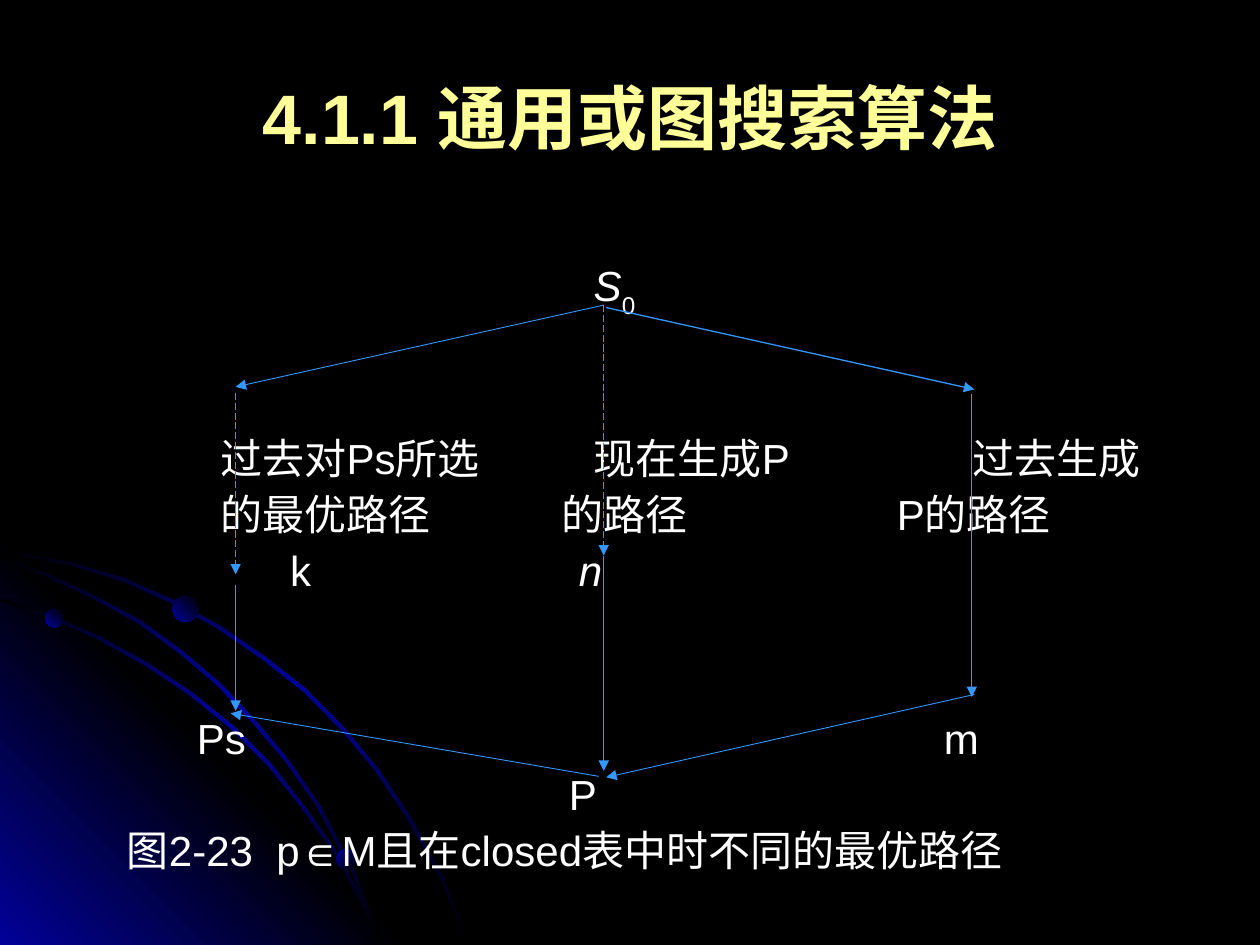
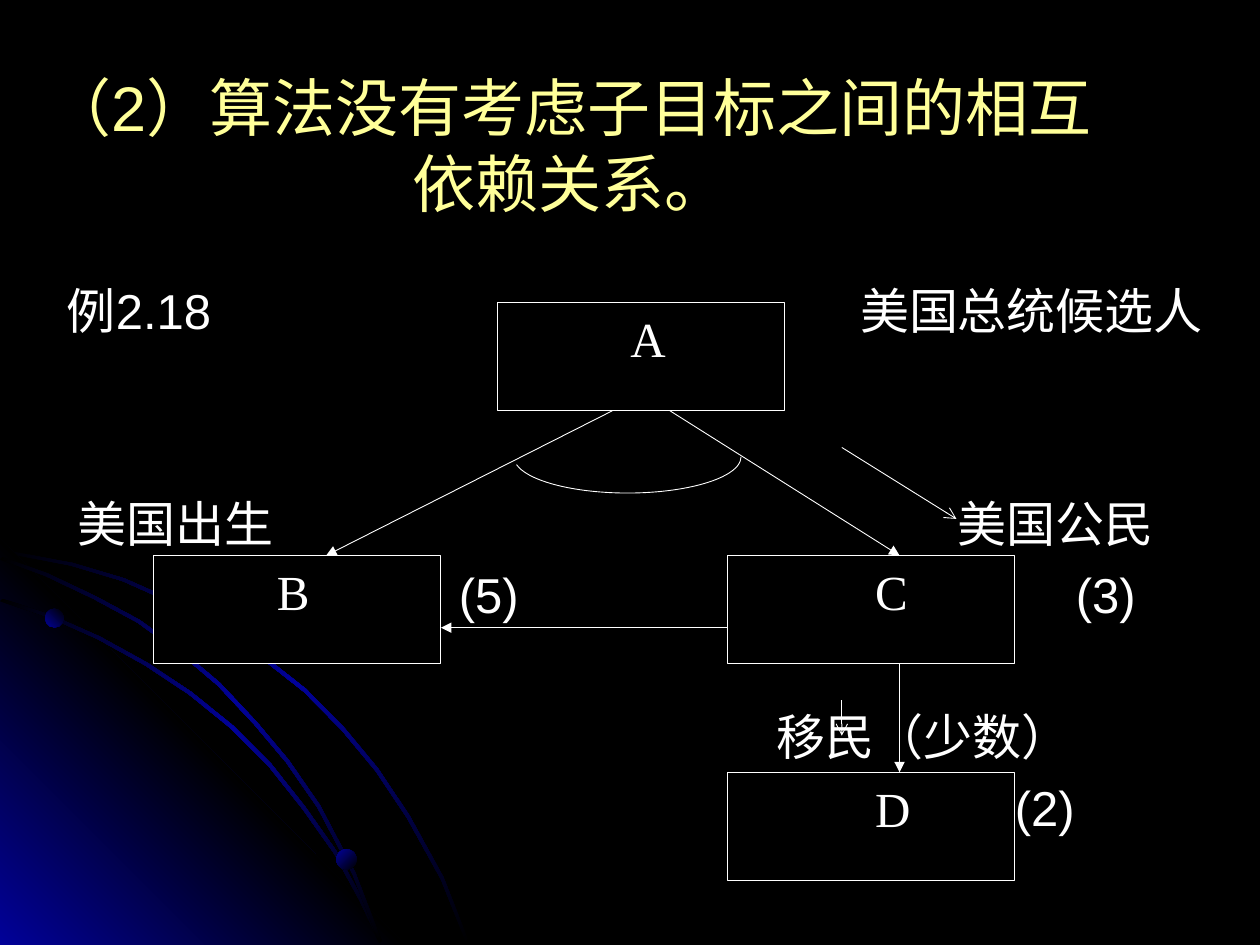
from lxml import etree
from pptx import Presentation
from pptx.dml.color import RGBColor
from pptx.enum.dml import MSO_LINE
from pptx.enum.shapes import MSO_CONNECTOR, MSO_SHAPE
from pptx.enum.text import MSO_ANCHOR, PP_ALIGN
from pptx.oxml.ns import qn
from pptx.util import Cm, Pt

STRAIGHT = MSO_CONNECTOR.STRAIGHT
RECTANGLE, OVAL, ARC = MSO_SHAPE.RECTANGLE, MSO_SHAPE.OVAL, MSO_SHAPE.ARC
TOP, MIDDLE = MSO_ANCHOR.TOP, MSO_ANCHOR.MIDDLE
LEFT, CENTER = PP_ALIGN.LEFT, PP_ALIGN.CENTER
LONG_DASH = MSO_LINE.LONG_DASH

COLORS = {
    "background": "000000",
    "glow": "010199",
    "title": "FFFF99",
    "text": "FFFFFF",
    "path": "3399FF",
}
SANS, SERIF = "Arial", "Times New Roman"
SLIDE_W, SLIDE_H = 25.4, 19.05
NODE_W, NODE_H = 5.79, 2.18
BAND_THICKNESS = 0.05

# Lower edges of the three orbit bands, in cm
OUTER_ORBIT = [(0, 11.13), (1.42, 11.4), (2.46, 11.71), (3.43, 12.14),
               (4.39, 12.67), (5.28, 13.28), (6.12, 13.94), (6.88, 14.71),
               (7.57, 15.54), (8.2, 16.48), (8.89, 17.73), (9.4, 19.02)]
INNER_ORBIT = [(0, 12.12), (0.99, 12.45), (1.96, 12.88), (2.92, 13.41),
               (3.81, 14), (4.65, 14.68), (5.41, 15.44), (6.1, 16.31),
               (6.73, 17.2), (7.24, 18.14), (7.65, 19.02)]
MIDDLE_ORBIT = [(0, 11.28), (0.91, 11.61), (1.88, 12.07), (2.77, 12.55),
                (3.61, 13.16), (4.39, 13.82), (5.13, 14.61), (5.77, 15.37),
                (6.4, 16.28), (7.11, 17.63), (7.65, 19.02)]


def rgb(name):
    return RGBColor.from_string(COLORS[name])


def fill_gradient(shape, names, angle):
    """Spread the named colours evenly, at a clockwise angle, without outline."""
    shape.shadow.inherit = False
    shape.line.fill.background()
    shape.fill.gradient()
    shape.fill.gradient_angle = 360 - angle
    stops = shape._element.spPr.find(qn("a:gradFill")).find(qn("a:gsLst"))
    for stop in list(stops):
        stops.remove(stop)
    for i, name in enumerate(names):
        position = str(100000 * i // (len(names) - 1))
        stop = etree.SubElement(stops, qn("a:gs"), pos=position)
        etree.SubElement(stop, qn("a:srgbClr"), val=COLORS[name])


def add_polygon(slide, points, names, angle):
    corners = [(Cm(x), Cm(y)) for x, y in points]
    builder = slide.shapes.build_freeform(*corners[0])
    builder.add_line_segments(corners[1:], close=True)
    fill_gradient(builder.convert_to_shape(), names, angle)


def add_orbit(slide, edge):
    upper = [(x + BAND_THICKNESS, y - BAND_THICKNESS) for x, y in edge]
    add_polygon(slide, edge + upper[::-1],
                ["background", "glow", "background"], 225)


def add_planet(slide, x, y, diameter, angle):
    planet = slide.shapes.add_shape(OVAL, Cm(x), Cm(y), Cm(diameter), Cm(diameter))
    fill_gradient(planet, ["background", "glow"], angle)


def add_space_slide(prs):
    """Add a black slide with the blue corner, its orbits and two planets."""
    slide = prs.slides.add_slide(prs.slide_layouts[6])
    slide.background.fill.solid()
    slide.background.fill.fore_color.rgb = rgb("background")
    add_orbit(slide, OUTER_ORBIT)
    add_polygon(slide, [(0, 10.85), (8.18, SLIDE_H), (0, SLIDE_H)],
                ["glow", "background", "glow"], 135)
    add_orbit(slide, INNER_ORBIT)
    add_orbit(slide, MIDDLE_ORBIT)
    add_planet(slide, 0.91, 12.27, 0.38, 135)
    add_planet(slide, 6.78, 17.12, 0.41, 225)
    return slide


def format_font(font, size, color="text", name=SANS, bold=False, italic=False):
    font.name = name
    font.size = Pt(size)
    font.color.rgb = rgb(color)
    font.bold = bold
    font.italic = italic


def add_title(slide, text, x, y, width, size, bold=False):
    frame = slide.shapes.add_textbox(Cm(x), Cm(y), Cm(width), Cm(3.18)).text_frame
    frame.word_wrap = True
    frame.vertical_anchor = MIDDLE
    frame.text = text
    title = frame.paragraphs[0]
    title.alignment = CENTER
    format_font(title.runs[0].font, size, "title", bold=bold)


def add_label(slide, text, x, center_y, size, italic=False):
    """Add one line of text starting at x; return its paragraph."""
    height = 1.2
    width = min(len(text) * size * 0.04 + 0.5, SLIDE_W - x)
    frame = slide.shapes.add_textbox(Cm(x), Cm(center_y - height / 2),
                                     Cm(width), Cm(height)).text_frame
    frame.word_wrap = True
    frame.vertical_anchor = MIDDLE
    frame.margin_left = frame.margin_right = 0
    frame.margin_top = frame.margin_bottom = 0
    frame.text = text
    format_font(frame.paragraphs[0].runs[0].font, size, italic=italic)
    return frame.paragraphs[0]


def add_arrow(slide, start, end, color, head="triangle", dashed=False, weight=0.5):
    arrow = slide.shapes.add_connector(
        STRAIGHT, *(Cm(value) for value in (*start, *end)))
    arrow.line.color.rgb = rgb(color)
    arrow.line.width = Pt(weight)
    if dashed:
        arrow.line.dash_style = LONG_DASH
    properties = arrow._element.spPr
    etree.SubElement(properties.find(qn("a:ln")), qn("a:tailEnd"), type=head)
    etree.SubElement(properties, qn("a:effectLst"))


def add_node(slide, letter, corner, letter_x):
    x, y = corner
    node = slide.shapes.add_shape(RECTANGLE, Cm(x), Cm(y), Cm(NODE_W), Cm(NODE_H))
    node.shadow.inherit = False
    node.fill.solid()
    node.fill.fore_color.rgb = rgb("background")
    node.line.color.rgb = rgb("text")
    node.line.width = Pt(0.5)
    frame = node.text_frame
    frame.vertical_anchor = TOP
    frame.margin_left = Cm(letter_x)
    frame.text = letter
    frame.paragraphs[0].alignment = LEFT
    format_font(frame.paragraphs[0].runs[0].font, 28, name=SERIF)


def on_node(corner, across, down):
    """Point on a node, as fractions of its width and height."""
    return corner[0] + across * NODE_W, corner[1] + down * NODE_H


def add_and_arc(slide):
    arc = slide.shapes.add_shape(ARC, Cm(10.36), Cm(8.48), Cm(4.58), Cm(1.46))
    arc.adjustments[0] = 0
    arc.adjustments[1] = 176 * 0.6  # degrees in units of 100000 / 60000
    arc.shadow.inherit = False
    arc.fill.background()
    arc.line.color.rgb = rgb("text")
    arc.line.width = Pt(0.5)


def build_search_slide(prs):
    slide = add_space_slide(prs)
    add_planet(slide, 3.48, 12.01, 0.53, 135)
    add_title(slide, "4.1.1 通用或图搜索算法", 1.27, 0.76, 22.86, 40, bold=True)

    first_row, row_pitch = 5.83, 1.13
    start_label = add_label(slide, "S", 11.97, first_row, 24, italic=True)
    index = start_label.add_run()
    index.text = "0"
    format_font(index.font, 24)
    index.font._element.set("baseline", "-30000")

    labels = [
        ("过去对Ps所选", 4.45, 3), ("现在生成P", 11.97, 3), ("过去生成", 19.6, 3),
        ("的最优路径", 4.45, 4), ("的路径", 11.33, 4), ("P的路径", 18.08, 4),
        ("k", 5.85, 5), ("n", 11.67, 5),
        ("Ps", 3.97, 8), ("m", 19.03, 8), ("P", 11.47, 9),
        ("图2-23  p∈M且在closed表中时不同的最优路径", 2.56, 10),
    ]
    for text, x, row in labels:
        add_label(slide, text, x, first_row + row * row_pitch, 24, italic=text == "n")

    left, middle, right = 4.75, 12.17, 19.59
    add_arrow(slide, (middle + 0.05, 6.2), (right + 0.05, 7.85), "path", weight=0.75)
    steps = [
        ((right, 7.95), (right, 14.05), False),
        ((middle, 6.15), (middle, 11.2), True),
        ((right + 0.05, 14), (middle + 0.05, 15.67), False),
        ((middle, 11.2), (middle, 15.54), False),
        ((middle - 0.1, 15.65), (left - 0.1, 14.38), False),
        ((middle, 6.15), (left, 7.8), False),
        ((left, 7.92), (left, 11.58), True),
        ((left, 11.79), (left, 14.33), False),
    ]
    for start, end, dashed in steps:
        add_arrow(slide, start, end, "path", dashed=dashed)


def build_dependency_slide(prs):
    slide = add_space_slide(prs)
    add_title(slide, "（2）算法没有考虑子目标之间的相互依赖关系。", 0.69, 1.32, 21.59, 36)

    first_row, row_pitch = 6.25, 1.43
    labels = [
        ("例2.18", 1.35, 0), ("美国总统候选人", 17.34, 0),
        ("美国出生", 1.57, 3), ("美国公民", 19.31, 3),
        ("(5)", 9.25, 4), ("(3)", 21.69, 4),
        ("移民（少数）", 15.66, 6), ("(2)", 20.46, 7),
    ]
    for text, x, row in labels:
        add_label(slide, text, x, first_row + row * row_pitch, 28)

    a, b, c, d = (10.03, 6.1), (3.1, 11.2), (14.66, 11.2), (14.66, 15.57)
    add_arrow(slide, on_node(a, 0.4, 1), on_node(b, 0.6, 0), "text")
    add_arrow(slide, on_node(a, 0.6, 1), on_node(c, 0.6, 0), "text")
    add_arrow(slide, on_node(c, 0, 2 / 3), on_node(b, 1, 2 / 3), "text")
    add_arrow(slide, on_node(c, 0.6, 1), on_node(d, 0.6, 0), "text")
    for letter, corner, letter_x in [("A", a, 2.68), ("B", b, 2.48),
                                     ("C", c, 2.98), ("D", d, 2.98)]:
        add_node(slide, letter, corner, letter_x)
    add_and_arc(slide)
    add_arrow(slide, (16.97, 9.02), (19.28, 10.46), "text", head="arrow")
    add_arrow(slide, (16.97, 14.12), (16.97, 14.83), "text", head="arrow")


def main():
    prs = Presentation()
    prs.slide_width, prs.slide_height = Cm(SLIDE_W), Cm(SLIDE_H)
    build_search_slide(prs)
    build_dependency_slide(prs)
    prs.save("out.pptx")


if __name__ == "__main__":
    main()
